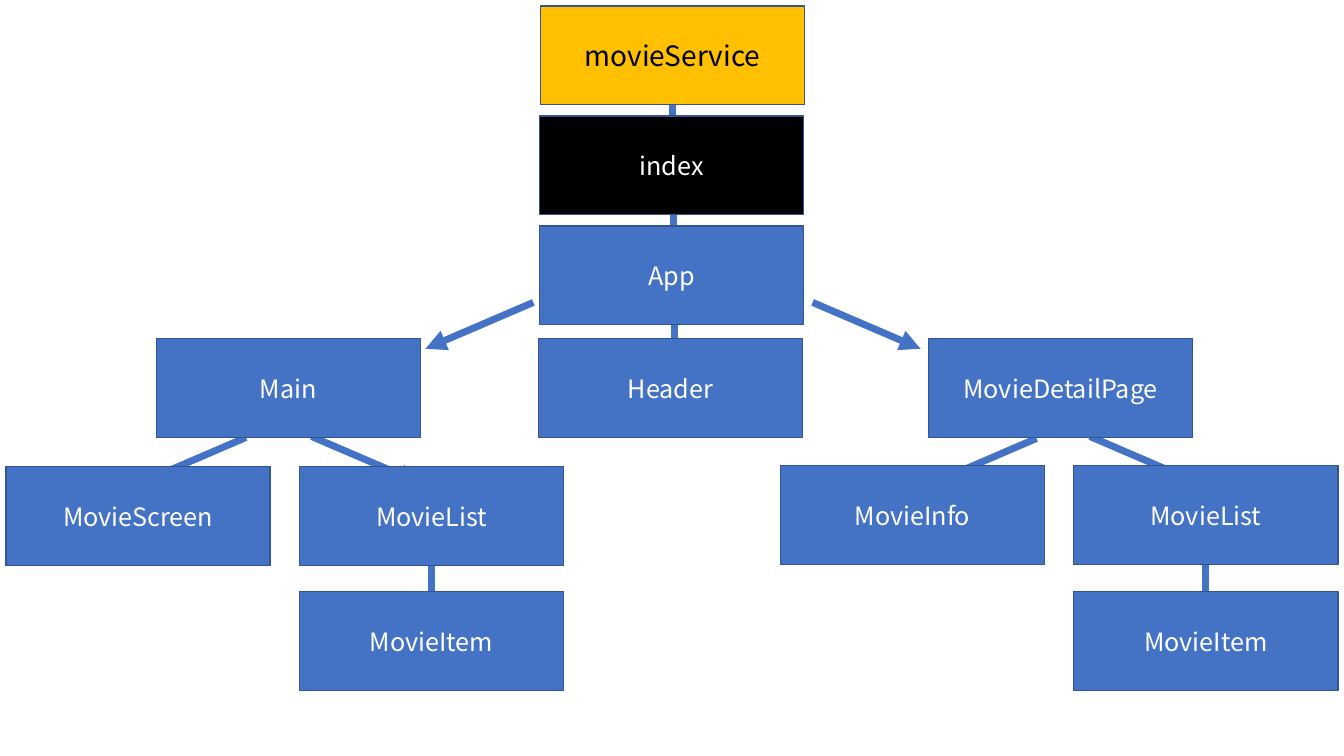
from pptx import Presentation
from pptx.dml.color import RGBColor
from pptx.enum.shapes import MSO_CONNECTOR, MSO_SHAPE
from pptx.enum.text import MSO_ANCHOR, PP_ALIGN
from pptx.oxml.ns import qn
from pptx.util import Inches, Pt
from lxml.etree import SubElement

BLUE = RGBColor(0x44, 0x72, 0xC4)
OUTLINE = RGBColor(0x32, 0x54, 0x91)
AMBER = RGBColor(0xFF, 0xC0, 0x00)
BLACK = RGBColor(0x00, 0x00, 0x00)
WHITE = RGBColor(0xFF, 0xFF, 0xFF)
FONT = "Noto Sans CJK KR"
BOX_WIDTH, BOX_HEIGHT = 2.62, 0.98

presentation = Presentation()
presentation.slide_width = Inches(13.33)
presentation.slide_height = Inches(7.5)
slide = presentation.slides.add_slide(presentation.slide_layouts[6])

# Arrows: start x, start y, run, drop; the boxes drawn later cover most ends
DROP, RUN, FALL = 0.74, 1.07, 0.46
arrows = [
    (6.67, 1.04, 0, DROP),      # movieService to index
    (6.68, 1.78, 0, DROP),      # index to App
    (6.69, 2.99, 0, DROP),      # App to Header
    (5.29, 3.0, -RUN, FALL),    # App to Main
    (8.06, 3.0, RUN, FALL),     # App to MovieDetailPage
    (2.44, 4.34, -RUN, FALL),   # Main to MovieScreen
    (3.09, 4.33, RUN, FALL),    # Main to MovieList
    (10.28, 4.35, -RUN, FALL),  # MovieDetailPage to MovieInfo
    (10.81, 4.33, RUN, FALL),   # MovieDetailPage to MovieList
    (4.28, 5.45, 0, DROP),      # MovieList to MovieItem, left
    (11.96, 5.45, 0, DROP),     # MovieList to MovieItem, right
]
for x, y, run, drop in arrows:
    arrow = slide.shapes.add_connector(
        MSO_CONNECTOR.STRAIGHT,
        Inches(x), Inches(y), Inches(x + run), Inches(y + drop))
    arrow.line.color.rgb = BLUE
    arrow.line.width = Pt(5)
    SubElement(arrow.line._get_or_add_ln(), qn("a:tailEnd"), type="triangle")
    SubElement(arrow._element.spPr, qn("a:effectLst"))

# Component boxes: name, left, top, fill, text colour, text size
components = [
    ("movieService", 5.36, 0.06, AMBER, BLACK, 20),
    ("index", 5.35, 1.15, BLACK, WHITE, 18),
]
components += [(name, left, top, BLUE, WHITE, 18) for name, left, top in [
    ("App", 5.35, 2.24),
    ("Main", 1.55, 3.36),
    ("Header", 5.34, 3.36),
    ("MovieDetailPage", 9.21, 3.36),
    ("MovieScreen", 0.06, 4.63),
    ("MovieList", 2.97, 4.63),
    ("MovieInfo", 7.74, 4.62),
    ("MovieList", 10.65, 4.62),
    ("MovieItem", 2.97, 5.87),
    ("MovieItem", 10.65, 5.87),
]]
for name, left, top, fill, text_color, size in components:
    box = slide.shapes.add_shape(
        MSO_SHAPE.RECTANGLE,
        Inches(left), Inches(top), Inches(BOX_WIDTH), Inches(BOX_HEIGHT))
    box.shadow.inherit = False
    box.fill.solid()
    box.fill.fore_color.rgb = fill
    box.line.color.rgb = OUTLINE
    box.line.width = Pt(1)
    box.text_frame.vertical_anchor = MSO_ANCHOR.MIDDLE
    paragraph = box.text_frame.paragraphs[0]
    paragraph.text = name
    paragraph.alignment = PP_ALIGN.CENTER
    paragraph.font.name = FONT
    paragraph.font.size = Pt(size)
    paragraph.font.color.rgb = text_color

presentation.save("out.pptx")
